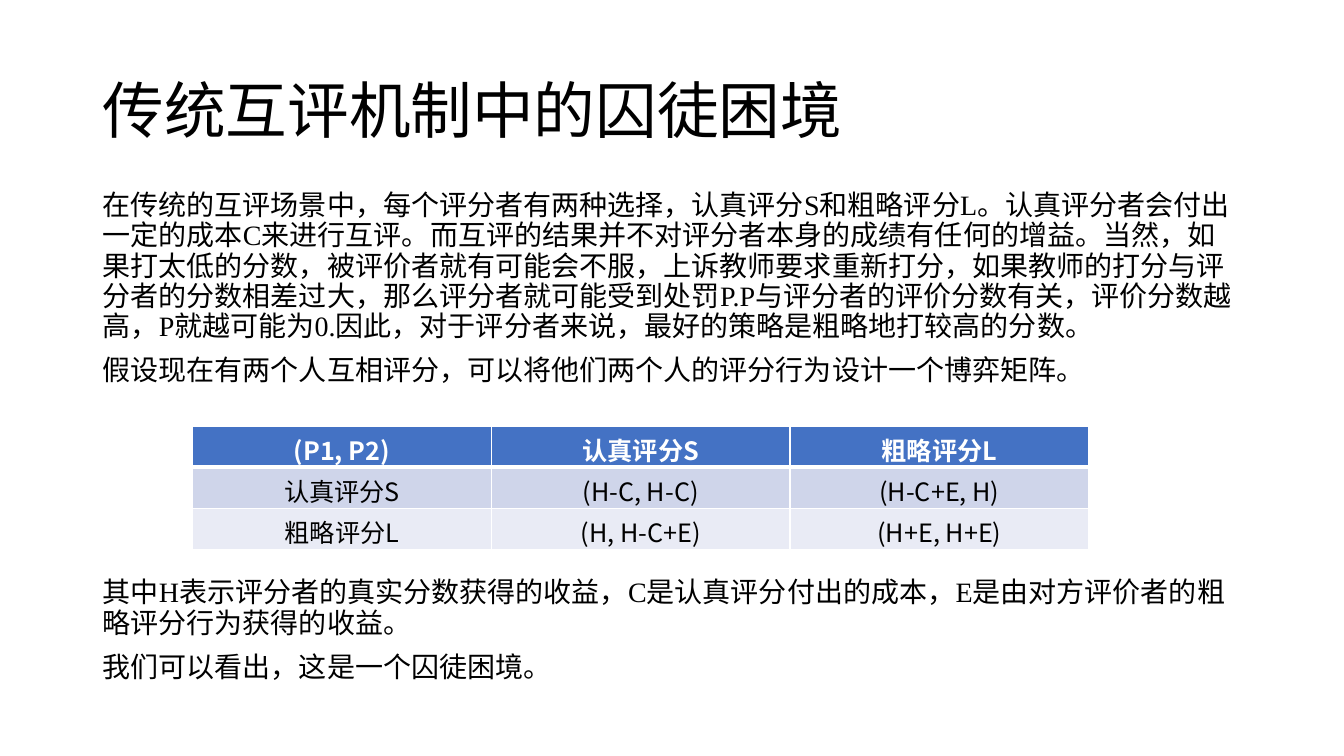
import pptx
import pptx.dml.color
import pptx.enum.text
import pptx.oxml.ns
import pptx.util
from dataclasses import dataclass
from lxml import etree

Inches = pptx.util.Inches
Pt = pptx.util.Pt
ALIGN = pptx.enum.text.PP_ALIGN
ANCHOR = pptx.enum.text.MSO_ANCHOR
qn = pptx.oxml.ns.qn


@dataclass(frozen=True)
class Theme:
    sans: str = "Noto Sans CJK SC"
    serif: str = "Times New Roman"
    ink: str = "000000"
    paper: str = "FFFFFF"
    header: str = "4472C4"
    bands: tuple = ("CFD5EA", "E9EBF5")
    title_size: int = 44
    body_size: int = 20
    table_size: int = 18
    line_spacing: float = 0.9
    paragraph_gap: int = 10
    thin_rule: int = 1
    thick_rule: int = 3


class SlideBuilder:
    def __init__(self, slide, theme):
        self.slide = slide
        self.theme = theme

    def style(self, paragraph, size, latin, color, bold=False):
        """Style a paragraph, with the sans face for its Chinese characters."""
        font = paragraph.font
        font.size = Pt(size)
        font.bold = bold
        font.color.rgb = pptx.dml.color.RGBColor.from_string(color)
        font.name = latin
        latin_face = paragraph._p.pPr.find(qn("a:defRPr")).find(qn("a:latin"))
        east_asian = etree.Element(qn("a:ea"), typeface=self.theme.sans)
        latin_face.addnext(east_asian)

    def text(self, box, paragraphs, size, latin, anchor=ANCHOR.TOP):
        """Add a text box from (wording, space before in points) pairs."""
        frame = self.slide.shapes.add_textbox(*map(Inches, box)).text_frame
        frame.word_wrap = True
        frame.vertical_anchor = anchor
        for index, (wording, gap) in enumerate(paragraphs):
            paragraph = frame.add_paragraph() if index else frame.paragraphs[0]
            paragraph.text = wording
            paragraph.line_spacing = self.theme.line_spacing
            paragraph.space_before = Pt(gap)
            self.style(paragraph, size, latin, self.theme.ink)

    def borders(self, cell, top, bottom):
        """Rule all four sides of a cell; call before filling it."""
        thin = self.theme.thin_rule
        properties = cell._tc.get_or_add_tcPr()
        for side, width in (("L", thin), ("R", thin), ("T", top), ("B", bottom)):
            line = etree.SubElement(properties, qn(f"a:ln{side}"), w=str(Pt(width)))
            fill = etree.SubElement(line, qn("a:solidFill"))
            etree.SubElement(fill, qn("a:srgbClr"), val=self.theme.paper)

    def table(self, box, rows):
        theme = self.theme
        matrix = self.slide.shapes.add_table(
            len(rows), len(rows[0]), *map(Inches, box)).table
        for r, row in enumerate(rows):
            is_header = r == 0
            background = theme.header if is_header else theme.bands[(r - 1) % 2]
            for c, wording in enumerate(row):
                cell = matrix.cell(r, c)
                self.borders(cell,
                             theme.thick_rule if r == 1 else theme.thin_rule,
                             theme.thick_rule if is_header else theme.thin_rule)
                cell.fill.solid()
                cell.fill.fore_color.rgb = pptx.dml.color.RGBColor.from_string(background)
                cell.text = wording
                paragraph = cell.text_frame.paragraphs[0]
                paragraph.alignment = ALIGN.CENTER
                self.style(paragraph, theme.table_size, theme.sans,
                           theme.paper if is_header else theme.ink, is_header)


def main():
    theme = Theme()
    presentation = pptx.Presentation()
    presentation.slide_width = Inches(13.33)
    presentation.slide_height = Inches(7.5)
    slide = presentation.slides.add_slide(presentation.slide_layouts[6])
    builder = SlideBuilder(slide, theme)

    builder.text((0.92, 0.4, 11.5, 1.45), [("传统互评机制中的囚徒困境", 0)],
                 theme.title_size, theme.sans, ANCHOR.MIDDLE)

    gap = theme.paragraph_gap
    room_for_matrix = 137
    explanation = [
        ("在传统的互评场景中，每个评分者有两种选择，认真评分S和粗略评分L。"
         "认真评分者会付出一定的成本C来进行互评。"
         "而互评的结果并不对评分者本身的成绩有任何的增益。"
         "当然，如果打太低的分数，被评价者就有可能会不服，上诉教师要求重新打分，"
         "如果教师的打分与评分者的分数相差过大，那么评分者就可能受到处罚"
         "P.P与评分者的评价分数有关，评价分数越高，P就越可能为0."
         "因此，对于评分者来说，最好的策略是粗略地打较高的分数。", gap),
        ("假设现在有两个人互相评分，可以将他们两个人的评分行为设计一个博弈矩阵。", gap),
        ("其中H表示评分者的真实分数获得的收益，C是认真评分付出的成本，"
         "E是由对方评价者的粗略评分行为获得的收益。", room_for_matrix),
        ("我们可以看出，这是一个囚徒困境。", gap),
    ]
    builder.text((0.92, 1.85, 11.5, 5.39), explanation, theme.body_size, theme.serif)

    builder.table((1.91, 4.23, 8.89, 1.22), [
        ("(P1, P2)", "认真评分S", "粗略评分L"),
        ("认真评分S", "(H-C, H-C)", "(H-C+E, H)"),
        ("粗略评分L", "(H, H-C+E)", "(H+E, H+E)"),
    ])
    presentation.save("out.pptx")


if __name__ == "__main__":
    main()
